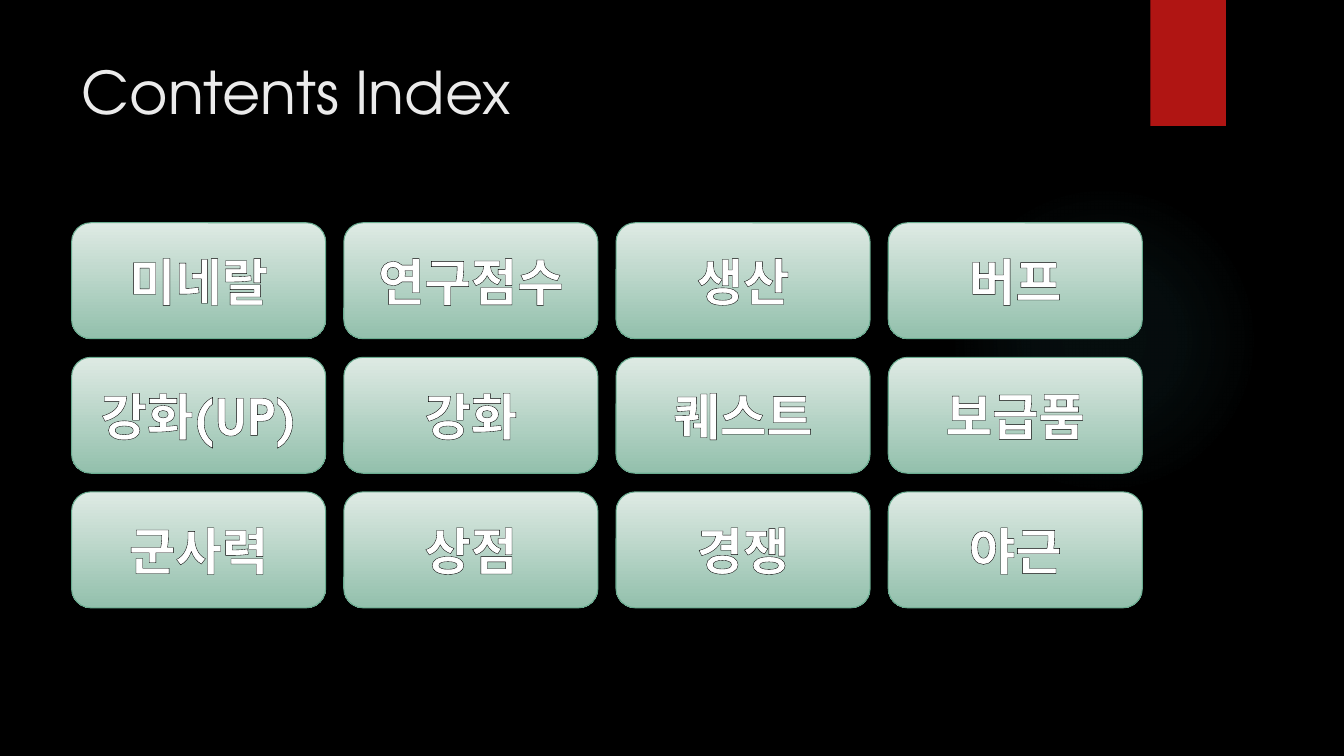
from dataclasses import dataclass

from lxml import etree
from pptx import Presentation
from pptx.dml.color import RGBColor
from pptx.enum.shapes import MSO_SHAPE
from pptx.enum.text import MSO_ANCHOR, PP_ALIGN
from pptx.oxml.ns import qn
from pptx.shapes.autoshape import Shape
from pptx.slide import Slide
from pptx.util import Inches, Pt

ROUNDED, RECTANGLE, OVAL = MSO_SHAPE.ROUNDED_RECTANGLE, MSO_SHAPE.RECTANGLE, MSO_SHAPE.OVAL
TOP, MIDDLE = MSO_ANCHOR.TOP, MSO_ANCHOR.MIDDLE
LEFT, CENTER = PP_ALIGN.LEFT, PP_ALIGN.CENTER
TITLE_ONLY = 5


@dataclass(frozen=True)
class Theme:
    font: str = "TeX Gyre Adventor"
    background: str = "000000"
    title: str = "EBEBEB"
    label: str = "FFFFFF"
    label_outline: str = "000000"
    card_top: str = "DEEAE4"
    card_bottom: str = "93C0AC"
    card_border: str = "6AAC90"
    ribbon: str = "B01513"
    glow: str = "50B9C1"
    title_size: float = 42
    label_size: float = 36
    border_width: float = 0.75
    outline_width: float = 1.06


@dataclass(frozen=True)
class Box:
    left: float
    top: float
    width: float
    height: float

    def emu(self) -> tuple[int, ...]:
        return tuple(Inches(n) for n in (self.left, self.top, self.width, self.height))


@dataclass(frozen=True)
class Grid:
    left: float
    top: float
    card_width: float
    card_height: float
    column_step: float
    row_step: float

    def cell(self, column: int, row: int) -> Box:
        return Box(
            self.left + column * self.column_step,
            self.top + row * self.row_step,
            self.card_width,
            self.card_height,
        )


@dataclass(frozen=True)
class Stop:
    position: int
    color: str
    opacity: int = 100


THEME = Theme()
SLIDE_WIDTH, SLIDE_HEIGHT = 13.33, 7.5
TITLE_BOX = Box(0.71, 0.5, 10.29, 1.53)
RIBBON_BOX = Box(11.41, 0, 0.75, 1.25)
GLOW_BOX = Box(9.41, 1.83, 3.08, 3.08)
CARDS = Grid(0.71, 2.21, 2.52, 1.15, 2.7, 1.335)
TOPICS = (
    ("미네랄", "연구점수", "생산", "버프"),
    ("강화(UP)", "강화", "퀘스트", "보급품"),
    ("군사력", "상점", "경쟁", "야근"),
)
CARD_STOPS = (Stop(0, THEME.card_top), Stop(100, THEME.card_bottom))
GLOW_STOPS = (Stop(0, THEME.glow, 7), Stop(36, THEME.glow, 6), Stop(69, THEME.glow, 0))


def apply(target: object, values: dict[str, object]) -> None:
    for name, value in values.items():
        setattr(target, name, value)


def add_child(parent: etree._Element, tag: str, **attributes: object) -> etree._Element:
    texts = {name: str(value) for name, value in attributes.items()}
    return etree.SubElement(parent, qn(tag), texts)


def set_gradient(shape: Shape, stops: tuple[Stop, ...], radial: bool = False) -> None:
    shape.fill.gradient()
    gradient = shape._element.spPr.find(qn("a:gradFill"))
    for child in list(gradient):
        gradient.remove(child)
    stop_list = add_child(gradient, "a:gsLst")
    for stop in stops:
        entry = add_child(stop_list, "a:gs", pos=stop.position * 1000)
        color = add_child(entry, "a:srgbClr", val=stop.color)
        if stop.opacity < 100:
            add_child(color, "a:alpha", val=stop.opacity * 1000)
    if radial:
        centre = add_child(gradient, "a:path", path="circle")
        add_child(centre, "a:fillToRect", l=50000, t=50000, r=50000, b=50000)
    else:
        add_child(gradient, "a:lin", ang=90 * 60000, scaled=0)


def write_text(shape: Shape, text: str, size: float, color: str, bold: bool,
               align: PP_ALIGN, anchor: MSO_ANCHOR) -> etree._Element:
    apply(shape.text_frame, {"word_wrap": True, "vertical_anchor": anchor})
    paragraph = shape.text_frame.paragraphs[0]
    paragraph.alignment = align
    run = paragraph.add_run()
    run.text = text
    apply(run.font, {"name": THEME.font, "size": Pt(size), "bold": bold})
    run.font.color.rgb = RGBColor.from_string(color)
    return run._r.get_or_add_rPr()


def add_plain_shape(slide: Slide, kind: MSO_SHAPE, box: Box) -> Shape:
    shape = slide.shapes.add_shape(kind, *box.emu())
    shape.shadow.inherit = False
    shape.line.fill.background()
    return shape


def add_card(slide: Slide, topic: str, box: Box) -> None:
    card = add_plain_shape(slide, ROUNDED, box)
    set_gradient(card, CARD_STOPS)
    card.line.color.rgb = RGBColor.from_string(THEME.card_border)
    card.line.width = Pt(THEME.border_width)
    properties = write_text(card, topic, THEME.label_size, THEME.label, True, CENTER, MIDDLE)
    outline = add_child(properties, "a:ln", w=int(Pt(THEME.outline_width)))
    add_child(add_child(outline, "a:solidFill"), "a:srgbClr", val=THEME.label_outline)
    properties.insert(0, outline)


def main() -> None:
    deck = Presentation()
    apply(deck, {"slide_width": Inches(SLIDE_WIDTH), "slide_height": Inches(SLIDE_HEIGHT)})
    slide = deck.slides.add_slide(deck.slide_layouts[TITLE_ONLY])
    slide.background.fill.solid()
    slide.background.fill.fore_color.rgb = RGBColor.from_string(THEME.background)

    title = slide.shapes.title
    apply(title, dict(zip(("left", "top", "width", "height"), TITLE_BOX.emu())))
    write_text(title, "Contents Index", THEME.title_size, THEME.title, False, LEFT, TOP)

    glow = add_plain_shape(slide, OVAL, GLOW_BOX)
    set_gradient(glow, GLOW_STOPS, radial=True)
    ribbon = add_plain_shape(slide, RECTANGLE, RIBBON_BOX)
    ribbon.fill.solid()
    ribbon.fill.fore_color.rgb = RGBColor.from_string(THEME.ribbon)

    for row, topics in enumerate(TOPICS):
        for column, topic in enumerate(topics):
            add_card(slide, topic, CARDS.cell(column, row))

    deck.save("out.pptx")


if __name__ == "__main__":
    main()
